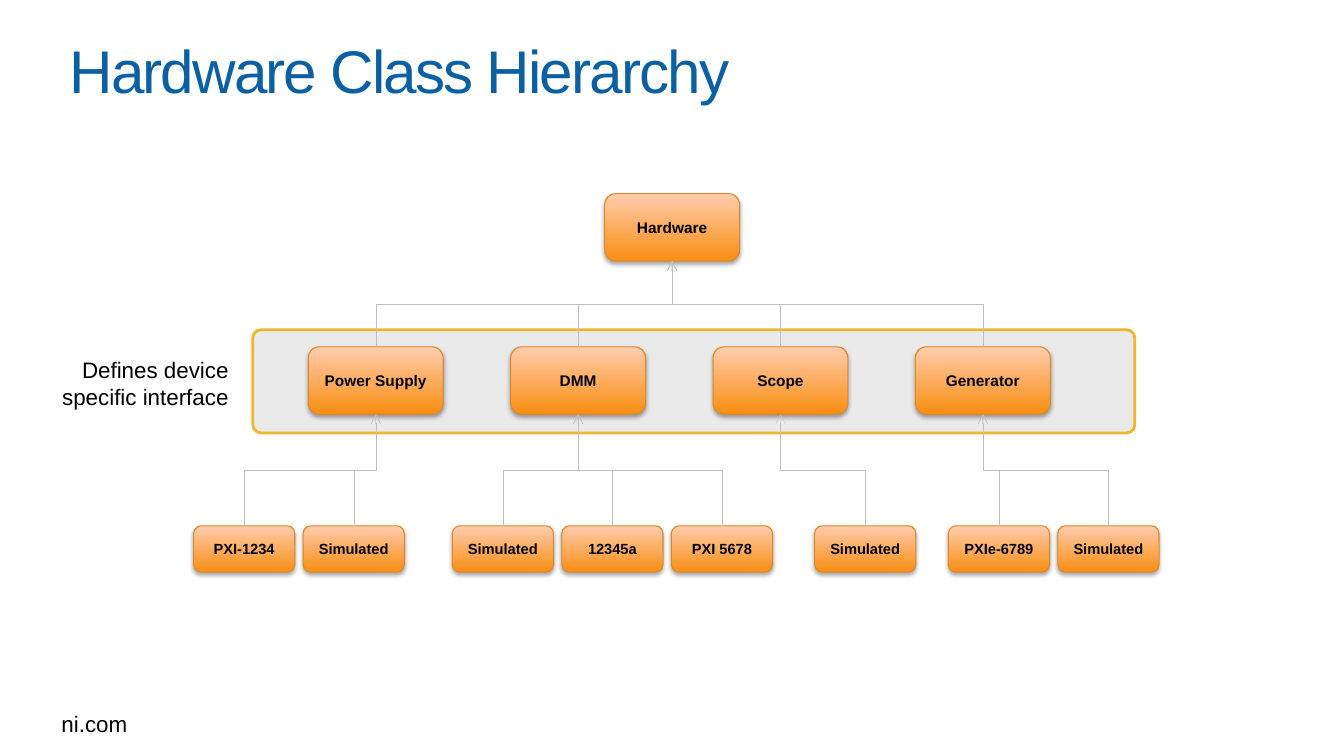
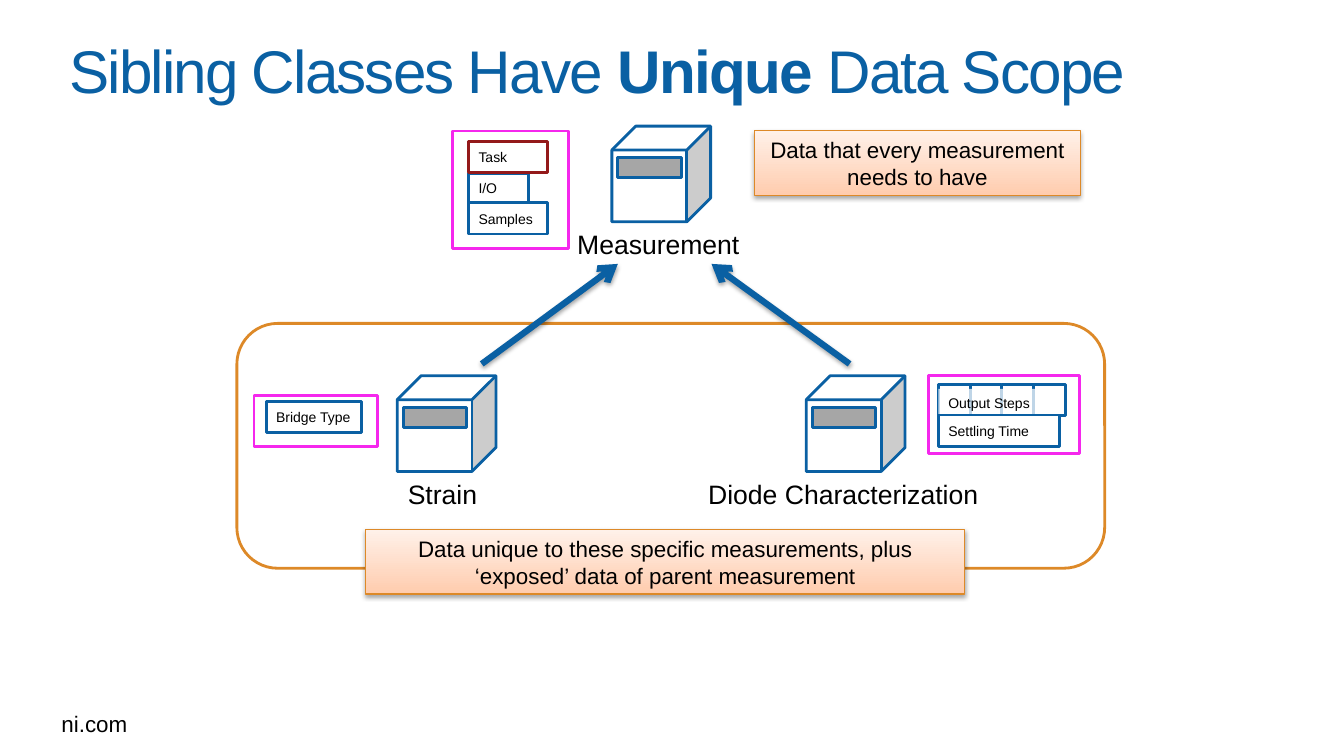
"""Build two slides on a hardware class hierarchy and the data scope of sibling classes."""
from copy import deepcopy

from lxml.etree import SubElement
from pptx import Presentation
from pptx.dml.color import RGBColor
from pptx.enum.shapes import MSO_CONNECTOR, MSO_SHAPE
from pptx.enum.text import MSO_ANCHOR, MSO_AUTO_SIZE, PP_ALIGN
from pptx.oxml import parse_xml
from pptx.oxml.ns import nsdecls, qn
from pptx.util import Cm, Pt

COLORS = {
    "black": "000000", "white": "FFFFFF", "blue": "0A60A3", "red": "93191A",
    "pink": "F527ED", "gold": "EDB72E", "orange": "DD8928", "band": "D9D9D9",
    "slot": "A6A6A6", "link": "BFBFBF", "node dark": "F98E12",
    "peach": "FFCCAE", "cream": "FFF1E9",
}
RGB = {name: RGBColor.from_string(value) for name, value in COLORS.items()}
STYLES = {
    "band": {"fill": "band", "alpha": 54, "line": "gold"},
    "node": {"fill": ("node dark", "peach"), "line": "orange", "width": 0.75,
             "shadow": True, "size": 11, "bold": True},
    "note": {"fill": ("peach", "cream"), "line": "orange", "width": 0.75,
             "shadow": True, "size": 16},
    "scope": {"fill": "white", "line": "orange"},
    "group": {"fill": "white", "line": "pink"},
    "cube": {"fill": "white", "line": "blue"},
    "slot": {"fill": "slot", "line": "blue"},
    "field": {"fill": "white", "line": "blue", "size": 10, "align": PP_ALIGN.LEFT},
    "required": {"fill": "white", "line": "red", "size": 10, "align": PP_ALIGN.LEFT},
    "overlay": {"fill": "white", "alpha": 74, "size": 10, "align": PP_ALIGN.LEFT},
    "caption": {"size": 19},
    "side label": {"size": 16, "align": PP_ALIGN.RIGHT},
    "footer": {"size": 16, "align": PP_ALIGN.LEFT},
}
SHADOW = parse_xml(
    f'<a:outerShdw {nsdecls("a")} blurRad="40000" dist="23000" dir="5400000" '
    'rotWithShape="0"><a:srgbClr val="000000"><a:alpha val="35000"/>'
    '</a:srgbClr></a:outerShdw>'
)


def add_box(slide, kind, bounds, style_name, text="", **changes):
    """Add a styled shape, or a text box when kind is None; bounds are in cm."""
    style = {**STYLES[style_name], **changes}
    lengths = [Cm(value) for value in bounds]
    if kind is None:
        shape = slide.shapes.add_textbox(*lengths)
    else:
        shape = slide.shapes.add_shape(kind, *lengths)
        shape.shadow.inherit = False
        fill = style["fill"]
        if isinstance(fill, tuple):
            shape.fill.gradient()
            shape.fill.gradient_angle = 90
            for stop, color in zip(shape.fill.gradient_stops, fill):
                stop.color.rgb = RGB[color]
        else:
            shape.fill.solid()
            shape.fill.fore_color.rgb = RGB[fill]
        if "alpha" in style:
            color_element = shape._element.spPr.find(".//" + qn("a:srgbClr"))
            SubElement(color_element, qn("a:alpha"), val=str(style["alpha"] * 1000))
        if "line" in style:
            shape.line.color.rgb = RGB[style["line"]]
            shape.line.width = Pt(style.get("width", 2))
        else:
            shape.line.fill.background()
        if style.get("shadow"):
            shape._element.spPr.find(qn("a:effectLst")).append(deepcopy(SHADOW))
    if text:
        frame = shape.text_frame
        frame.word_wrap = True
        frame.vertical_anchor = MSO_ANCHOR.MIDDLE
        paragraph = frame.paragraphs[0]
        paragraph.text = text
        paragraph.alignment = style.get("align", PP_ALIGN.CENTER)
        paragraph.font.color.rgb = RGB["black"]
        font_values = {"name": "Arial", "size": Pt(style["size"]),
                       "bold": style.get("bold", False)}
        for name, value in font_values.items():
            setattr(paragraph.font, name, value)
    return shape


def add_arrow(slide, kind, points, color, width):
    """Add a connector with an open arrowhead at its end; points are in cm."""
    connector = slide.shapes.add_connector(kind, *[Cm(value) for value in points])
    connector.line.color.rgb = RGB[color]
    connector.line.width = Pt(width)
    SubElement(connector.line._get_or_add_ln(), qn("a:tailEnd"), type="arrow")
    SubElement(connector._element.spPr, qn("a:effectLst"))
    return connector


presentation = Presentation()
presentation.slide_width, presentation.slide_height = Cm(33.87), Cm(19.05)
layout = presentation.slide_layouts[5]
title_place = {"left": Cm(1.75), "top": Cm(0.41), "width": Cm(30.4), "height": Cm(2.67)}
for name, value in title_place.items():
    setattr(layout.placeholders[0], name, value)

titles = [
    [("Hardware Class Hierarchy", False)],
    [("Sibling Classes Have ", False), ("Unique", True), (" Data Scope", False)],
]
for title_runs in titles:
    slide = presentation.slides.add_slide(layout)
    frame = slide.shapes.title.text_frame
    frame_values = {"margin_left": 0, "vertical_anchor": MSO_ANCHOR.MIDDLE,
                    "word_wrap": True, "auto_size": MSO_AUTO_SIZE.NONE}
    for name, value in frame_values.items():
        setattr(frame, name, value)
    paragraph = frame.paragraphs[0]
    paragraph.alignment = PP_ALIGN.LEFT
    for text, bold in title_runs:
        run = paragraph.add_run()
        run.text = text
        run.font.color.rgb = RGB["blue"]
        for name, value in {"name": "Arial", "size": Pt(43), "bold": bold}.items():
            setattr(run.font, name, value)
        run._r.get_or_add_rPr().set("spc", "-130")
    add_box(slide, None, (1.3, 17.75, 2.2, 0.95), "footer", "ni.com")
hierarchy_slide, scope_slide = presentation.slides

band = add_box(hierarchy_slide, MSO_SHAPE.ROUNDED_RECTANGLE,
               (6.37, 8.31, 22.23, 2.6), "band")
band.adjustments[0] = 0.08
add_box(hierarchy_slide, None, (0.81, 8.84, 5.2, 1.63), "side label",
        "Defines device specific interface")

device_classes = [
    ("Power Supply", 4.88, ["PXI-1234", "Simulated"]),
    ("DMM", 11.4, ["Simulated", "12345a", "PXI 5678"]),
    ("Scope", 20.53, ["Simulated"]),
    ("Generator", 23.9, ["PXIe-6789", "Simulated"]),
]
root = add_box(hierarchy_slide, MSO_SHAPE.ROUNDED_RECTANGLE,
               (15.24, 4.88, 3.4, 1.7), "node", "Hardware")
links = []
for column, (class_name, first_left, devices) in enumerate(device_classes):
    parent = add_box(hierarchy_slide, MSO_SHAPE.ROUNDED_RECTANGLE,
                     (7.77 + 5.1 * column, 8.74, 3.4, 1.7), "node", class_name)
    links.append((parent, root))
    for position, device in enumerate(devices):
        child = add_box(hierarchy_slide, MSO_SHAPE.ROUNDED_RECTANGLE,
                        (first_left + 2.76 * position, 13.25, 2.55, 1.17),
                        "node", device, size=10.5)
        links.append((child, parent))

for child, parent in links:
    start_x, start_y = child.left + child.width // 2, child.top
    end_x, end_y = parent.left + parent.width // 2, parent.top + parent.height
    connector = add_arrow(hierarchy_slide, MSO_CONNECTOR.ELBOW, (0, 0, 1, 1), "link", 0.25)
    connector.begin_connect(child, 0)
    connector.end_connect(parent, 2)
    rise, run_length = start_y - end_y, abs(end_x - start_x)
    place = {"left": (start_x + end_x - rise) // 2,
             "top": (start_y + end_y - run_length) // 2,
             "width": rise, "height": run_length}
    for name, value in place.items():
        setattr(connector, name, value)
    goes_right = end_x > start_x
    turn = {"rot": "5400000" if goes_right else "16200000",
            "flipH": "1" if goes_right else "0", "flipV": "1"}
    for name, value in turn.items():
        connector._element.spPr.xfrm.set(name, value)

add_box(scope_slide, MSO_SHAPE.ROUNDED_RECTANGLE, (5.97, 8.15, 21.87, 6.17), "scope")

measurements = [
    ("Measurement", 15.42, 3.18, 16.59, 4.88),
    ("Strain", 10.01, 9.47, 11.15, 4.88),
    ("Diode Characterization", 20.32, 9.47, 21.25, 9.2),
]
for caption, left, top, center, width in measurements:
    add_box(scope_slide, MSO_SHAPE.CUBE, (left, top, 2.49, 2.41), "cube")
    add_box(scope_slide, MSO_SHAPE.RECTANGLE, (left + 0.15, top + 0.79, 1.6, 0.51), "slot")
    add_box(scope_slide, None, (center - width / 2, top + 2.44, width, 1.07),
            "caption", caption)

for start_x, end_x in [(12.14, 15.57), (21.41, 17.93)]:
    arrow = add_arrow(scope_slide, MSO_CONNECTOR.STRAIGHT,
                      (start_x, 9.17, end_x, 6.65), "blue", 4.5)
    arrow._element.spPr.find(qn("a:effectLst")).append(deepcopy(SHADOW))

step_boxes = [((23.65 + 0.8 * step, 9.68, 0.8, 0.79), "field", "") for step in range(4)]
data_boxes = [
    ((11.4, 3.3, 2.92, 2.97), "group", ""),
    ((11.81, 4.37, 1.52, 0.74), "field", "I/O"),
    ((11.81, 3.56, 1.98, 0.79), "required", "Task"),
    ((11.81, 5.11, 1.98, 0.79), "field", "Samples"),
    ((6.4, 9.96, 3.12, 1.3), "group", ""),
    ((6.71, 10.11, 2.41, 0.79), "field", "Bridge Type"),
    ((23.39, 9.47, 3.81, 1.96), "group", ""),
    *step_boxes,
    ((23.65, 9.8, 2.82, 0.69), "overlay", "Output Steps"),
    ((23.65, 10.46, 3.05, 0.79), "field", "Settling Time"),
    ((9.22, 13.34, 15.09, 1.63), "note",
     "Data unique to these specific measurements, plus ‘exposed’ data of parent measurement"),
    ((19.02, 3.3, 8.2, 1.63), "note", "Data that every measurement needs to have"),
]
for bounds, style_name, text in data_boxes:
    add_box(scope_slide, MSO_SHAPE.RECTANGLE, bounds, style_name, text)

presentation.save("out.pptx")
